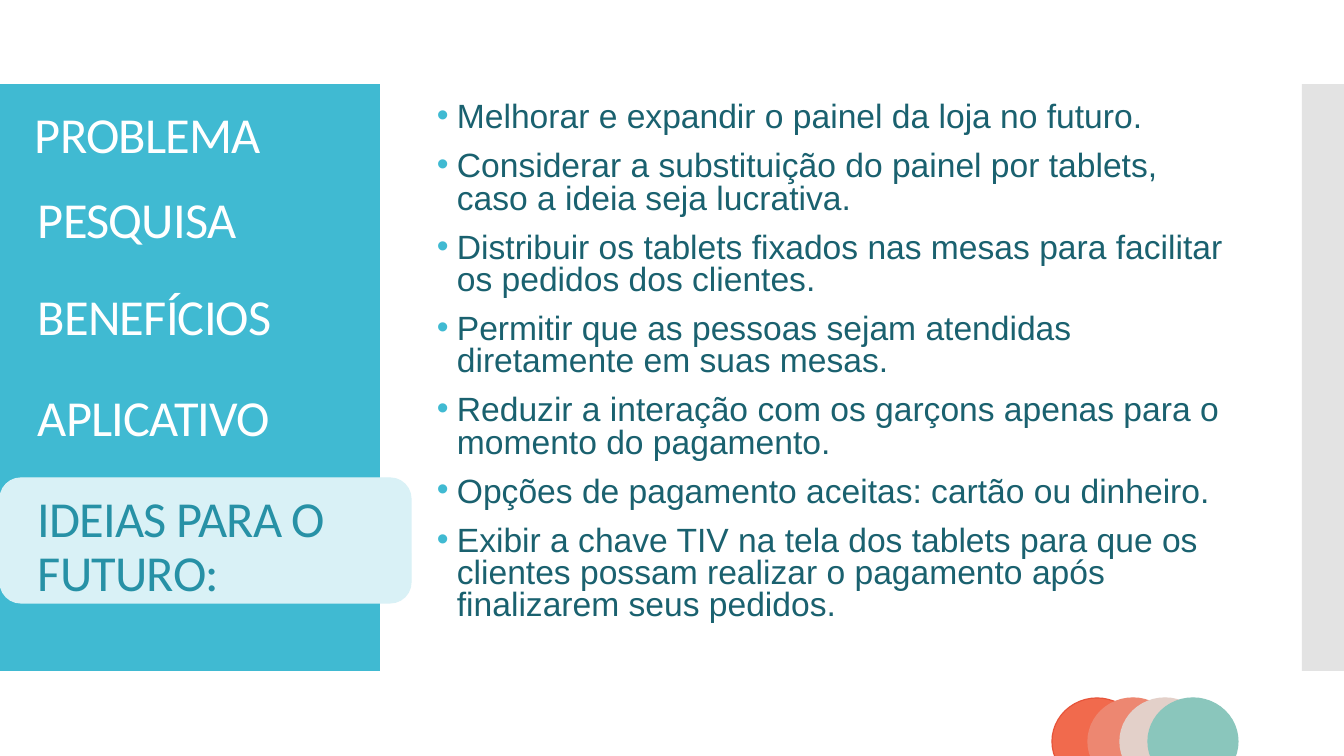
from pptx import Presentation
from pptx.dml.color import RGBColor
from pptx.enum.shapes import MSO_SHAPE
from pptx.enum.text import MSO_ANCHOR
from pptx.oxml.ns import qn
from pptx.util import Pt
from lxml import etree

RECT, ROUND, OVAL = MSO_SHAPE.RECTANGLE, MSO_SHAPE.ROUNDED_RECTANGLE, MSO_SHAPE.OVAL
TOP, MIDDLE = MSO_ANCHOR.TOP, MSO_ANCHOR.MIDDLE

LABELS = [
    ("PROBLEMA", (25, 95, 325, 84), "white"),
    ("PESQUISA", (28, 179, 325, 87), "white"),
    ("BENEFÍCIOS", (28, 276, 325, 86), "white"),
    ("APLICATIVO", (28, 377, 325, 86), "white"),
    ("IDEIAS PARA O FUTURO:", (28, 498, 357, 100), "active"),
]
IDEAS = [
    "Melhorar e expandir o painel da loja no futuro.",
    "Considerar a substituição do painel por tablets, caso a ideia seja lucrativa.",
    "Distribuir os tablets fixados nas mesas para facilitar os pedidos dos clientes.",
    "Permitir que as pessoas sejam atendidas diretamente em suas mesas.",
    "Reduzir a interação com os garçons apenas para o momento do pagamento.",
    "Opções de pagamento aceitas: cartão ou dinheiro.",
    "Exibir a chave TIV na tela dos tablets para que os clientes possam realizar "
    "o pagamento após finalizarem seus pedidos.",
]
DOTS = [
    (1052, "coral", "rim"),
    (1088, "salmon", "salmon"),
    (1120, "sand", "sand"),
    (1148, "mint", "mint"),
]
THEME = {
    "white": "FFFFFF", "panel": "40BAD2", "edge": "C8C8C8", "tab": "D9F1F6",
    "active": "2791A6", "body": "1A616F", "coral": "F16A4D", "rim": "E7543A",
    "salmon": "ED8771", "sand": "E3D0C9", "mint": "8AC6BC",
    "label size": 36, "body size": 24, "label font": "Calibri", "body font": "Arial",
}
SCALE = 914400 / 100.8


def px(n):
    return round(n * SCALE)


def color(name):
    return RGBColor.from_string(THEME[name])


def add_box(slide, kind, area, fill, line=None):
    box = slide.shapes.add_shape(kind, *map(px, area))
    box.shadow.inherit = False
    box.fill.solid()
    box.fill.fore_color.rgb = color(fill)
    if line:
        box.line.color.rgb = color(line)
        box.line.width = Pt(0.85)
    else:
        box.line.fill.background()
    return box


def add_frame(slide, area, anchor):
    frame = slide.shapes.add_textbox(*map(px, area)).text_frame
    frame.word_wrap = True
    frame.vertical_anchor = anchor
    return frame


def add_run(para, text, role, tint):
    run = para.add_run()
    run.text = text
    run.font.name = THEME[role + " font"]
    run.font.size = Pt(THEME[role + " size"])
    run.font.color.rgb = color(tint)
    return run


def add_bullet(para):
    props = para._p.get_or_add_pPr()
    props.set("marL", str(px(20)))
    props.set("indent", str(px(-20)))
    tint = etree.SubElement(props, qn("a:buClr"))
    etree.SubElement(tint, qn("a:srgbClr"), val=THEME["panel"])
    etree.SubElement(props, qn("a:buFont"), typeface=THEME["body font"])
    etree.SubElement(props, qn("a:buChar"), char="•")


def add_ideas(slide):
    frame = add_frame(slide, (427, 103, 806, 545), TOP)
    frame.margin_top = 0
    for i, text in enumerate(IDEAS):
        para = frame.paragraphs[0] if i == 0 else frame.add_paragraph()
        para.line_spacing = 0.8
        para.space_before = Pt(12 if i else 0)
        add_bullet(para)
        add_run(para, text, "body", "body")


def add_label(slide, text, area, tint):
    para = add_frame(slide, area, MIDDLE).paragraphs[0]
    para.line_spacing = 0.9
    run = add_run(para, text, "label", tint)
    run.font._element.set("spc", "-60")


def main():
    deck = Presentation()
    deck.slide_width, deck.slide_height = px(1344), px(756)
    slide = deck.slides.add_slide(deck.slide_layouts[6])
    add_box(slide, RECT, (0, 84, 380, 587), "panel")
    edge = add_box(slide, RECT, (1302, 84, 42, 587), "edge")
    tint = edge._element.spPr.find(qn("a:solidFill"))[0]
    etree.SubElement(tint, qn("a:alpha"), val="50000")
    add_box(slide, ROUND, (0, 478, 411, 125), "tab", "tab")
    add_ideas(slide)
    for label in LABELS:
        add_label(slide, *label)
    for left, fill, line in DOTS:
        add_box(slide, OVAL, (left, 698, 90, 87), fill, line)
    deck.save("out.pptx")


if __name__ == "__main__":
    main()
